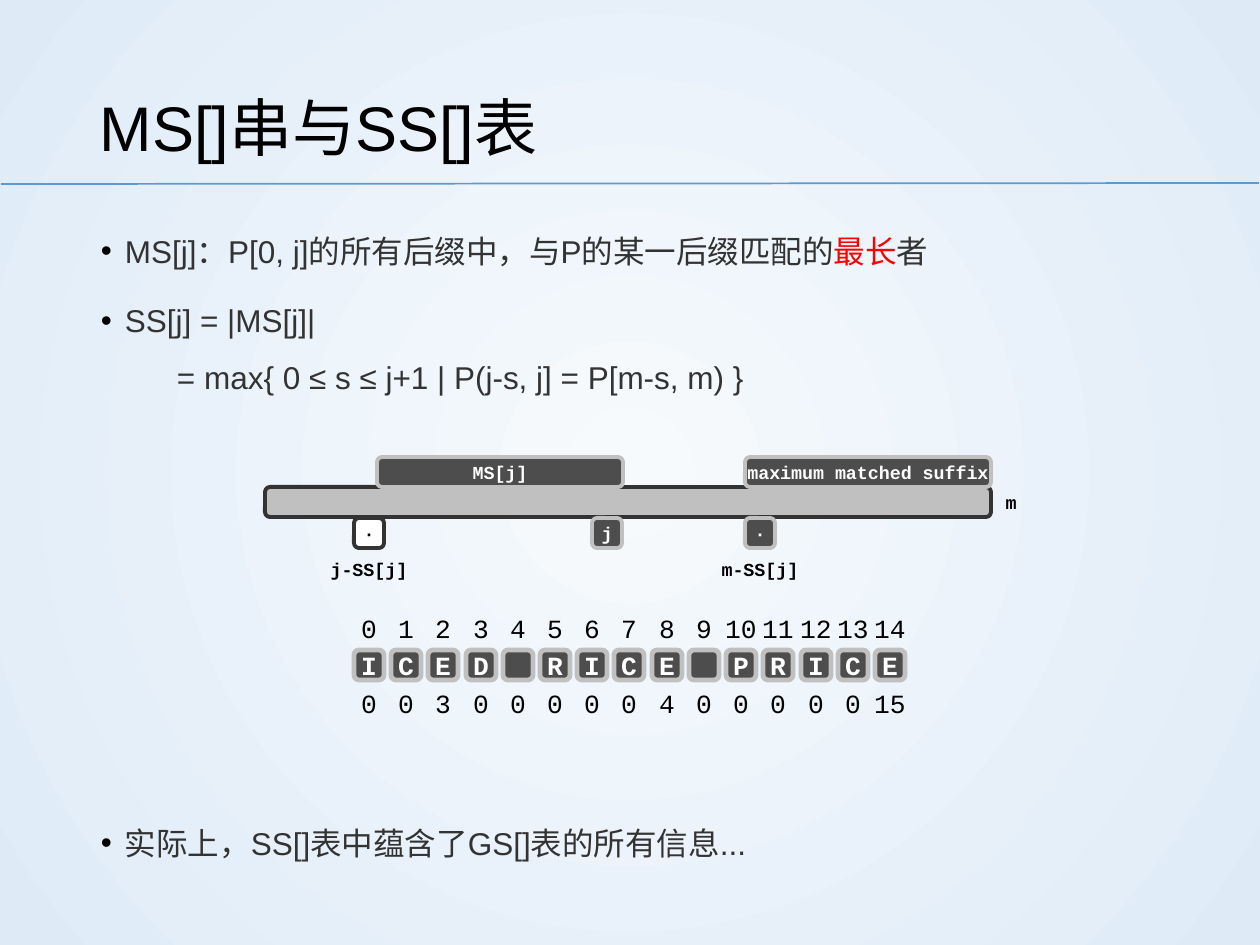
import dataclasses
import typing

import lxml.etree
import pptx
import pptx.dml.color
import pptx.enum.shapes
import pptx.enum.text
import pptx.oxml.ns
import pptx.util

SCALE = 914400 / 126  # EMU in one px
SIDE = 30  # side of a cell, height of a bar
COLORS = {
    "black": "000000",
    "white": "FFFFFF",
    "text": "333333",
    "accent": "FF0000",
    "dark": "4D4D4D",
    "silver": "C0C0C0",
    "rule": "5B9BD5",
    "center": "F7FAFD",
    "edge": "DEEBF7",
}
ALIGN = pptx.enum.text.PP_ALIGN
ANCHOR = pptx.enum.text.MSO_ANCHOR
qn = pptx.oxml.ns.qn


@dataclasses.dataclass
class Label:
    """Centred code text in a rounded box, which shows if fill is given."""
    text: str
    left: int
    top: int
    width: int = SIDE
    fill: typing.Optional[str] = None
    line: str = "silver"
    weight: float = 2.25
    size: float = 10.5
    color: str = "black"
    bold: bool = True


@dataclasses.dataclass
class Line:
    """A line of body text, given as (text, colour) spans."""
    spans: list[tuple[str, str]]
    bullet: bool = True
    after: float = 1.8


def px(value: int) -> pptx.util.Emu:
    return pptx.util.Emu(round(value * SCALE))


def rgb(name: str) -> pptx.dml.color.RGBColor:
    return pptx.dml.color.RGBColor.from_string(COLORS[name])


def add_span(para, text: str, font: str, size: float, color: str, bold: bool = False) -> None:
    span = para.add_run()
    span.text = text
    span.font.name = font
    span.font.size = pptx.util.Pt(size)
    span.font.bold = bold
    span.font.color.rgb = rgb(color)


def set_insets(frame, left: int, top: int, right: int, bottom: int) -> None:
    frame.margin_left, frame.margin_top = px(left), px(top)
    frame.margin_right, frame.margin_bottom = px(right), px(bottom)


def draw_label(page, label: Label) -> None:
    kind = pptx.enum.shapes.MSO_SHAPE.ROUNDED_RECTANGLE
    box = page.shapes.add_shape(kind, px(label.left), px(label.top), px(label.width), px(SIDE))
    box.shadow.inherit = False
    if label.fill:
        box.fill.solid()
        box.fill.fore_color.rgb = rgb(label.fill)
        box.line.color.rgb = rgb(label.line)
        box.line.width = pptx.util.Pt(label.weight)
    else:
        box.fill.background()
        box.line.fill.background()
    if label.text:
        frame = box.text_frame
        set_insets(frame, 0, 0, 0, 0)
        frame.word_wrap = False
        frame.vertical_anchor = ANCHOR.MIDDLE
        para = frame.paragraphs[0]
        para.alignment = ALIGN.CENTER
        add_span(para, label.text, "Courier New", label.size, label.color, label.bold)


def add_bullet(properties) -> None:
    color = lxml.etree.SubElement(properties, qn("a:buClr"))
    lxml.etree.SubElement(color, qn("a:srgbClr"), val=COLORS["black"])
    lxml.etree.SubElement(properties, qn("a:buFont"), typeface="Arial")
    lxml.etree.SubElement(properties, qn("a:buChar"), char="•")


def draw_body(page, top: int, height: int, lines: list[Line]) -> None:
    box = page.shapes.add_textbox(px(87), px(top), px(1086), px(height))
    frame = box.text_frame
    frame.word_wrap = True
    set_insets(frame, 14, 8, 0, 8)
    for index, line in enumerate(lines):
        para = frame.add_paragraph() if index else frame.paragraphs[0]
        para.line_spacing = 1.5
        para.space_before = pptx.util.Pt(5.4 if line.bullet else 0)
        para.space_after = pptx.util.Pt(line.after)
        properties = para._p.get_or_add_pPr()
        properties.set("marL", str(px(24 if line.bullet else 76)))
        properties.set("indent", str(px(-24 if line.bullet else 0)))
        if line.bullet:
            add_bullet(properties)
        for text, name in line.spans:
            add_span(para, text, "Arial", 18, name)


def draw_background(page) -> None:
    fill = page.background.fill
    fill.gradient()
    for stop, name in zip(fill.gradient_stops, ("center", "edge")):
        stop.color.rgb = rgb(name)
    linear = page._element.find(".//" + qn("a:lin"))
    radial = lxml.etree.Element(qn("a:path"), path="circle")
    middle = dict.fromkeys("ltrb", "50000")
    lxml.etree.SubElement(radial, qn("a:fillToRect"), **middle)
    linear.getparent().replace(linear, radial)


def draw_heading(page) -> None:
    title = page.shapes.title
    title.left, title.top, title.width, title.height = px(87), px(51), px(1086), px(136)
    frame = title.text_frame
    frame.auto_size = pptx.enum.text.MSO_AUTO_SIZE.NONE
    frame.vertical_anchor = ANCHOR.MIDDLE
    para = frame.paragraphs[0]
    para.alignment = ALIGN.LEFT
    para.line_spacing = 1.2
    add_span(para, "MS[]串与SS[]表", "Arial", 36, "black")

    straight = pptx.enum.shapes.MSO_CONNECTOR.STRAIGHT
    rule = page.shapes.add_connector(straight, px(1), px(184), px(1259), px(183))
    rule.line.color.rgb = rgb("rule")
    rule.line.width = pptx.util.Pt(1)
    lxml.etree.SubElement(rule._element.spPr, qn("a:effectLst"))


def draw_table_of_suffixes(page) -> None:
    pattern = "ICED RICE PRICE"
    sizes = [0, 0, 3, 0, 0, 0, 0, 0, 4, 0, 0, 0, 0, 0, 15]
    for index, (letter, size) in enumerate(zip(pattern, sizes)):
        left = 354 + round(index * 521 / 14)
        draw_label(page, Label(str(index), left, 613, size=15, bold=False))
        draw_label(page, Label(letter.strip(), left, 650, fill="dark", weight=2.75,
                               size=15, color="white"))
        draw_label(page, Label(str(size), left, 688, size=15, bold=False))


def main() -> None:
    deck = pptx.Presentation()
    deck.slide_width, deck.slide_height = px(1260), px(945)
    page = deck.slides.add_slide(deck.slide_layouts[5])
    draw_background(page)
    draw_heading(page)

    # Definitions above the diagram, remark below it
    draw_body(page, 205, 220, [
        Line([("MS[j]：P[0, j]的所有后缀中，与P的某一后缀匹配的", "text"),
              ("最长", "accent"), ("者", "text")]),
        Line([("SS[j] = |MS[j]|", "text")], after=0),
        Line([("= max{ 0 ≤ s ≤ j+1 | P(j-s, j] = P[m-s, m) }", "text")], bullet=False),
    ])
    draw_body(page, 797, 90, [Line([("实际上，SS[]表中蕴含了GS[]表的所有信息...", "text")])])

    draw_table_of_suffixes(page)

    # Diagram of the matched suffix
    dark = {"fill": "dark", "color": "white"}
    for label in (
        Label("m", 996, 487),
        Label("", 265, 487, 726, fill="silver", line="text"),
        Label("maximum matched suffix", 745, 457, 246, **dark),
        Label("MS[j]", 377, 457, 246, **dark),
        Label("j", 592, 518, **dark),
        Label("m-SS[j]", 745, 554),
        Label("·", 745, 518, **dark),
        Label("j-SS[j]", 354, 554),
        Label("·", 354, 518, fill="white", line="text"),
    ):
        draw_label(page, label)

    deck.save("out.pptx")


if __name__ == "__main__":
    main()
